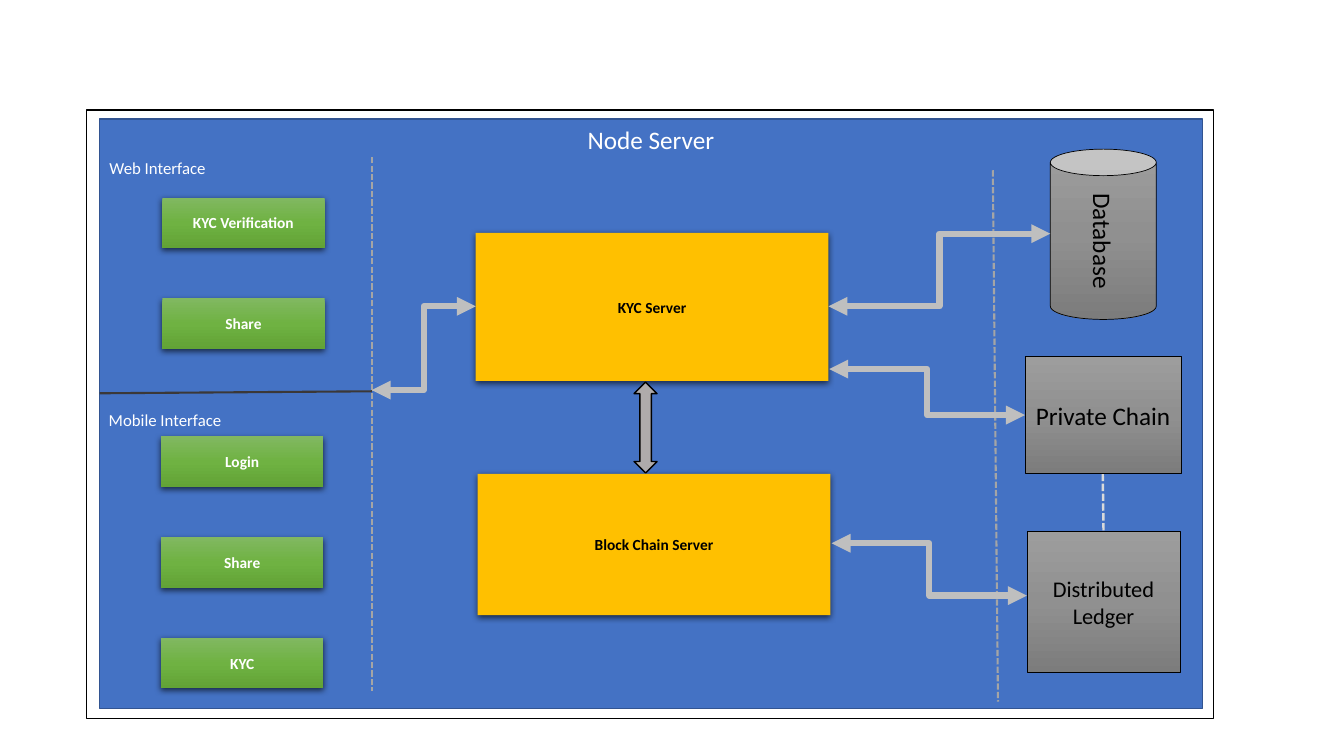
"""Build the node server architecture slide."""
from lxml.etree import SubElement
from copy import deepcopy
from pptx import Presentation
from pptx.dml.color import RGBColor
from pptx.enum.dml import MSO_LINE
from pptx.enum.shapes import MSO_CONNECTOR, MSO_SHAPE
from pptx.enum.text import MSO_ANCHOR, PP_ALIGN
from pptx.oxml.ns import qn
from pptx.util import Cm, Pt

FONT = "Calibri"
WHITE = RGBColor(0xFF, 0xFF, 0xFF)
BLACK = RGBColor(0, 0, 0)
BLUE = RGBColor(0x44, 0x72, 0xC4)
NAVY = RGBColor(0x32, 0x54, 0x91)
AMBER = RGBColor(0xFF, 0xC0, 0x00)
GREENS = [RGBColor(0x81, 0xB8, 0x61), RGBColor(0x6F, 0xB2, 0x42), RGBColor(0x62, 0xA3, 0x36)]
GREYS = [RGBColor(0x9D, 0x9D, 0x9D), RGBColor(0x90, 0x90, 0x90), RGBColor(0x7C, 0x7C, 0x7C)]
ARROW_GREY = RGBColor(0xAF, 0xAB, 0xAB)
DASH_GREY = RGBColor(0xA5, 0xA5, 0xA5)
LINK_GREY = RGBColor(0xBF, 0xBF, 0xBF)
PALE_GREY = RGBColor(0xD9, 0xD9, 0xD9)
CHARCOAL = RGBColor(0x3B, 0x38, 0x38)

FRAME = (2.18, 2.77, 28.4, 15.34)
PANEL = (2.51, 3, 27.79, 14.86)
INTERFACES = [
    ("Web Interface", (2.51, 3.84), (4.09, 4.98), ["KYC Verification", "Share"]),
    ("Mobile Interface", (2.49, 10.21), (4.06, 11), ["Login", "Share", "KYC"]),
]
BUTTON_W, BUTTON_H, BUTTON_STEP = 4.09, 1.27, 2.54
SERVERS = [
    ("KYC Server", (11.99, 5.87, 8.89, 3.73)),
    ("Block Chain Server", (12.04, 11.94, 8.89, 3.56)),
]
SERVER_ARROW = (15.98, 9.63, 0.58, 2.29)
STORES = [
    ("Database", MSO_SHAPE.CAN, (26.47, 3.76, 2.67, 4.29), 18),
    ("Private Chain", MSO_SHAPE.RECTANGLE, (25.83, 8.99, 3.94, 2.95), 18),
    ("Distributed Ledger", MSO_SHAPE.RECTANGLE, (25.88, 13.39, 3.86, 3.56), 16),
]
LINES = [
    ((9.37, 3.96, 9.37, 17.42), DASH_GREY, 1.5, True),
    ((25.02, 4.29, 25.15, 17.68), DASH_GREY, 1.5, True),
    ((2.51, 9.91, 9.37, 9.86), CHARCOAL, 1.5, False),
    ((27.79, 11.94, 27.81, 13.39), PALE_GREY, 1.75, True),
]
LINKS = [
    (20.88, 7.72, 26.47, 5.89),
    (20.9, 9.3, 25.83, 10.46),
    (20.96, 13.69, 25.88, 15.01),
    (9.37, 9.83, 11.99, 7.72),
]

prs = Presentation()
prs.slide_width, prs.slide_height = Cm(33.87), Cm(19.05)
s = prs.slides.add_slide(prs.slide_layouts[6])


def add_text(sp, text, size, color, bold=False, align=PP_ALIGN.CENTER, anchor=MSO_ANCHOR.MIDDLE):
    tf = sp.text_frame
    tf.word_wrap = True
    tf.vertical_anchor = anchor
    p = tf.paragraphs[0]
    p.text = text
    p.alignment = align
    p.font.name, p.font.size, p.font.bold = FONT, Pt(size), bold
    p.font.color.rgb = color


def add_box(kind, box, fill, line=None, width=1):
    sp = s.shapes.add_shape(kind, *map(Cm, box))
    sp.shadow.inherit = False
    if isinstance(fill, list):
        sp.fill.gradient()
        sp.fill.gradient_angle = 270
        stops = next(sp._element.spPr.iter(qn("a:gsLst")))
        stops.insert(1, deepcopy(stops[0]))
        for stop, position, color in zip(sp.fill.gradient_stops, (0, 0.5, 1), fill):
            stop.position, stop.color.rgb = position, color
    else:
        sp.fill.solid()
        sp.fill.fore_color.rgb = fill
    if line is None:
        sp.line.fill.background()
    else:
        sp.line.color.rgb, sp.line.width = line, Pt(width)
    return sp


def add_shadow(sp):
    effects = sp._element.spPr.find(qn("a:effectLst"))
    shadow = SubElement(effects, qn("a:outerShdw"), blurRad=str(Pt(4.5)), dist=str(Pt(1.5)),
                        dir="5400000", algn="ctr", rotWithShape="0")
    color = SubElement(shadow, qn("a:srgbClr"), val=str(BLACK))
    SubElement(color, qn("a:alpha"), val="63000")


def add_line(kind, ends, color, width):
    c = s.shapes.add_connector(kind, *map(Cm, ends))
    c.line.color.rgb, c.line.width = color, Pt(width)
    SubElement(c._element.spPr, qn("a:effectLst"))
    return c


add_box(MSO_SHAPE.RECTANGLE, FRAME, WHITE, BLACK)
panel = add_box(MSO_SHAPE.RECTANGLE, PANEL, BLUE, NAVY)
add_text(panel, "Node Server", 18, WHITE, anchor=MSO_ANCHOR.TOP)

for ends, color, width, dashed in LINES:
    c = add_line(MSO_CONNECTOR.STRAIGHT, ends, color, width)
    if dashed:
        c.line.dash_style = MSO_LINE.SQUARE_DOT

for label, corner, (left, top), buttons in INTERFACES:
    tb = s.shapes.add_textbox(*map(Cm, (*corner, 5.69, 0.76)))
    add_text(tb, label, 12, WHITE, align=PP_ALIGN.LEFT, anchor=MSO_ANCHOR.TOP)
    for i, name in enumerate(buttons):
        sp = add_box(MSO_SHAPE.RECTANGLE, (left, top + i * BUTTON_STEP, BUTTON_W, BUTTON_H), GREENS)
        add_shadow(sp)
        add_text(sp, name, 11, WHITE, bold=True)

for name, box in SERVERS:
    sp = add_box(MSO_SHAPE.RECTANGLE, box, AMBER)
    add_shadow(sp)
    add_text(sp, name, 11, BLACK, bold=True)
add_box(MSO_SHAPE.UP_DOWN_ARROW, SERVER_ARROW, ARROW_GREY, BLACK)

for name, kind, box, size in STORES:
    sp = add_box(kind, box, GREYS, BLACK, 0.5)
    add_text(sp, name, size, BLACK)
    if kind == MSO_SHAPE.CAN:
        sp.text_frame._txBody.bodyPr.set("vert", "vert")

for ends in LINKS:
    c = add_line(MSO_CONNECTOR.ELBOW, ends, LINK_GREY, 4.5)
    for end in ("a:headEnd", "a:tailEnd"):
        SubElement(c.line._get_or_add_ln(), qn(end), type="triangle")

prs.save("out.pptx")
